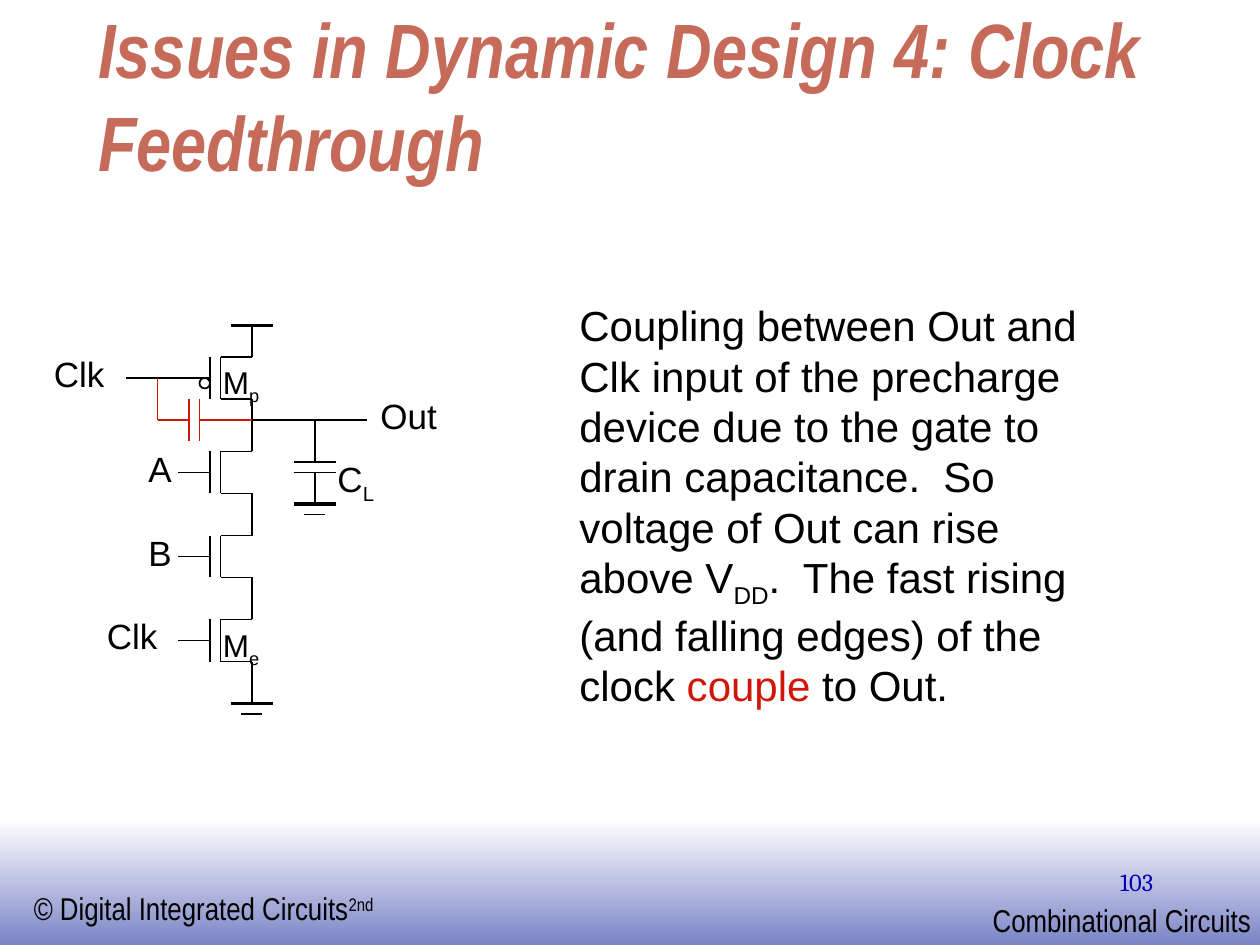
"""Build a slide on clock feedthrough in dynamic logic, with its circuit diagram."""
from dataclasses import dataclass

from pptx import Presentation
from pptx.dml.color import RGBColor as Rgb
from pptx.enum.shapes import MSO_CONNECTOR as Connector, MSO_SHAPE as Preset
from pptx.enum.text import MSO_ANCHOR as Anchor, MSO_AUTO_SIZE as AutoSize, PP_ALIGN as Align
from pptx.oxml.ns import qn
from pptx.util import Inches, Length, Pt
from lxml.etree import SubElement


@dataclass(frozen=True)
class Theme:
    """Colours, fonts and type sizes of the slide."""
    ink: str = "000000"
    accent: str = "D01608"
    title: str = "C66B5A"
    number: str = "0000B6"
    band_top: str = "FFFFFF"
    band_bottom: str = "7B84C6"
    sans: str = "Arial"
    narrow: str = "Arial Narrow"
    serif: str = "Cambria"
    title_size: float = 44
    body_size: float = 24
    label_size: float = 20
    device_size: float = 18
    footer_size: float = 18
    number_size: float = 14
    thin: float = 1
    thick: float = 2.25


THEME = Theme()


@dataclass(frozen=True)
class Span:
    """A stretch of text with its own baseline shift in percent and colour."""
    text: str
    shift: int = 0
    color: str = THEME.ink


@dataclass(frozen=True)
class Label:
    """A text box placed in inches."""
    left: float
    top: float
    width: float
    height: float
    spans: tuple[Span, ...]
    size: float = THEME.label_size
    font: str = THEME.sans
    wrap: bool = False
    align: Align = Align.LEFT


@dataclass(frozen=True)
class Wire:
    """A straight line between two points of the circuit grid."""
    x1: float
    y1: float
    x2: float
    y2: float
    color: str = THEME.ink
    weight: float = THEME.thin


CENTER = 24
LOAD = 30
OUT = 40
DEVICE_TOPS = (34, 43, 51, 59)

LABELS = (
    Label(0.17, 7.01, 2.93, 0.4, (Span("© Digital Integrated Circuits"), Span("2nd", 30)),
          THEME.footer_size, THEME.narrow),
    Label(7.78, 7.1, 2.25, 0.4, (Span("Combinational Circuits"),), THEME.footer_size, THEME.narrow),
    Label(7.17, 6.83, 2.08, 0.5, (Span("103", color=THEME.number),), THEME.number_size,
          THEME.serif, True, Align.RIGHT),
    Label(0.33, 2.75, 0.6, 0.43, (Span("Clk"),)),
    Label(1.08, 3.5, 0.39, 0.43, (Span("A"),)),
    Label(1.08, 4.17, 0.39, 0.43, (Span("B"),)),
    Label(0.75, 4.83, 0.6, 0.43, (Span("Clk"),)),
    Label(2.92, 3.08, 0.65, 0.43, (Span("Out"),)),
    Label(2.58, 3.58, 0.5, 0.43, (Span("C"), Span("L", -25))),
    Label(1.67, 2.83, 0.5, 0.4, (Span("M"), Span("p", -25)), THEME.device_size),
    Label(1.67, 4.92, 0.5, 0.4, (Span("M"), Span("e", -25)), THEME.device_size),
    Label(4.5, 2.33, 4.42, 3.3, (
        Span("Coupling between Out and Clk input of the precharge device due to the gate to "
             "drain capacitance.  So voltage of Out can rise above V"),
        Span("DD", -25),
        Span(".  The fast rising (and falling edges) of the clock "),
        Span("couple", color=THEME.accent),
        Span(" to Out."),
    ), THEME.body_size, wrap=True),
)


def grid(units: float) -> Length:
    """Convert circuit grid units, twelve to the inch, to a length."""
    return Inches(units / 12)


def transistor(top: float) -> list[Wire]:
    """Return the channel, gate and leads of a device."""
    bottom, gate = top + 4, top + 2
    return [
        Wire(21, top, CENTER, top),
        Wire(21, top, 21, bottom),
        Wire(21, bottom, CENTER, bottom),
        Wire(20, top, 20, bottom),
        Wire(17, gate, 20, gate),
        Wire(CENTER, top - 3, CENTER, top),
        Wire(CENTER, bottom, CENTER, bottom + 3),
    ]


def rail(x: float, y: float) -> Wire:
    """Return a thick supply bar centred on x."""
    return Wire(x - 2, y, x + 2, y, weight=THEME.thick)


def ground(x: float, y: float) -> list[Wire]:
    """Return a ground symbol with its stem."""
    return [Wire(x, y - 3, x, y), rail(x, y), Wire(x - 1, y + 1, x + 1, y + 1)]


def circuit() -> list[Wire]:
    """Return every wire of the dynamic gate."""
    wires = [wire for top in DEVICE_TOPS for wire in transistor(top)]
    wires += ground(CENTER, 67) + ground(LOAD, 48)
    wires += [rail(CENTER, 31), Wire(12, 36, 17, 36), Wire(CENTER, OUT, 35, OUT)]
    wires += [Wire(LOAD, OUT, LOAD, 44)]
    wires += [Wire(LOAD - 2, y, LOAD + 2, y) for y in (44, 45)]
    coupling = [(15, 36, 15, OUT), (15, OUT, 18, OUT), (18, OUT - 2, 18, OUT + 2),
                (19, OUT - 2, 19, OUT + 2), (19, OUT, CENTER, OUT)]
    return wires + [Wire(*ends, color=THEME.accent) for ends in coupling]


def draw_wire(page, wire: Wire) -> None:
    """Draw a wire without a shadow."""
    line = page.shapes.add_connector(
        Connector.STRAIGHT, grid(wire.x1), grid(wire.y1), grid(wire.x2), grid(wire.y2))
    line.line.color.rgb = Rgb.from_string(wire.color)
    line.line.width = Pt(wire.weight)
    SubElement(line._element.spPr, qn("a:effectLst"))


def draw_label(page, label: Label) -> None:
    """Draw a text box with formatted spans."""
    box = page.shapes.add_textbox(*map(Inches, (label.left, label.top, label.width, label.height)))
    box.text_frame.word_wrap = label.wrap
    para = box.text_frame.paragraphs[0]
    para.alignment = label.align
    for span in label.spans:
        run = para.add_run()
        run.text = span.text
        run.font.name = label.font
        run.font.size = Pt(label.size)
        run.font.color.rgb = Rgb.from_string(span.color)
        if span.shift:
            run._r.get_or_add_rPr().set("baseline", str(span.shift * 1000))


def draw_band(page) -> None:
    """Draw the shaded footer band."""
    band = page.shapes.add_shape(Preset.RECTANGLE, 0, Inches(6.5), Inches(10), Inches(1))
    band.shadow.inherit = False
    band.line.fill.background()
    band.fill.gradient()
    band.fill.gradient_angle = 270
    for stop, color, place in zip(band.fill.gradient_stops, (THEME.band_top, THEME.band_bottom), (0, 1)):
        stop.color.rgb = Rgb.from_string(color)
        stop.position = place


def draw_bubble(page) -> None:
    """Draw the inverting bubble on the precharge gate."""
    bubble = page.shapes.add_shape(Preset.OVAL, grid(19), grid(36), grid(1), grid(1))
    bubble.shadow.inherit = False
    bubble.fill.background()
    bubble.line.color.rgb = Rgb.from_string(THEME.ink)
    bubble.line.width = Pt(THEME.thin)


def fill_title(page) -> None:
    """Place and format the title."""
    title = page.shapes.title
    title.left, title.top, title.width, title.height = map(Inches, (0.68, 0.75, 8.5, 0.78))
    frame = title.text_frame
    frame.text = "Issues in Dynamic Design 4: Clock Feedthrough"
    frame.word_wrap, frame.auto_size, frame.vertical_anchor = True, AutoSize.NONE, Anchor.BOTTOM
    para = frame.paragraphs[0]
    para.alignment = Align.LEFT
    font = para.runs[0].font
    font.name, font.size, font.bold, font.italic = THEME.narrow, Pt(THEME.title_size), True, True
    font.color.rgb = Rgb.from_string(THEME.title)


def main() -> None:
    """Build and save the deck."""
    deck = Presentation()
    deck.slide_width, deck.slide_height = Inches(10), Inches(7.5)
    page = deck.slides.add_slide(deck.slide_layouts[5])
    draw_band(page)
    fill_title(page)
    for wire in circuit():
        draw_wire(page, wire)
    draw_bubble(page)
    for label in LABELS:
        draw_label(page, label)
    deck.save("out.pptx")


if __name__ == "__main__":
    main()
